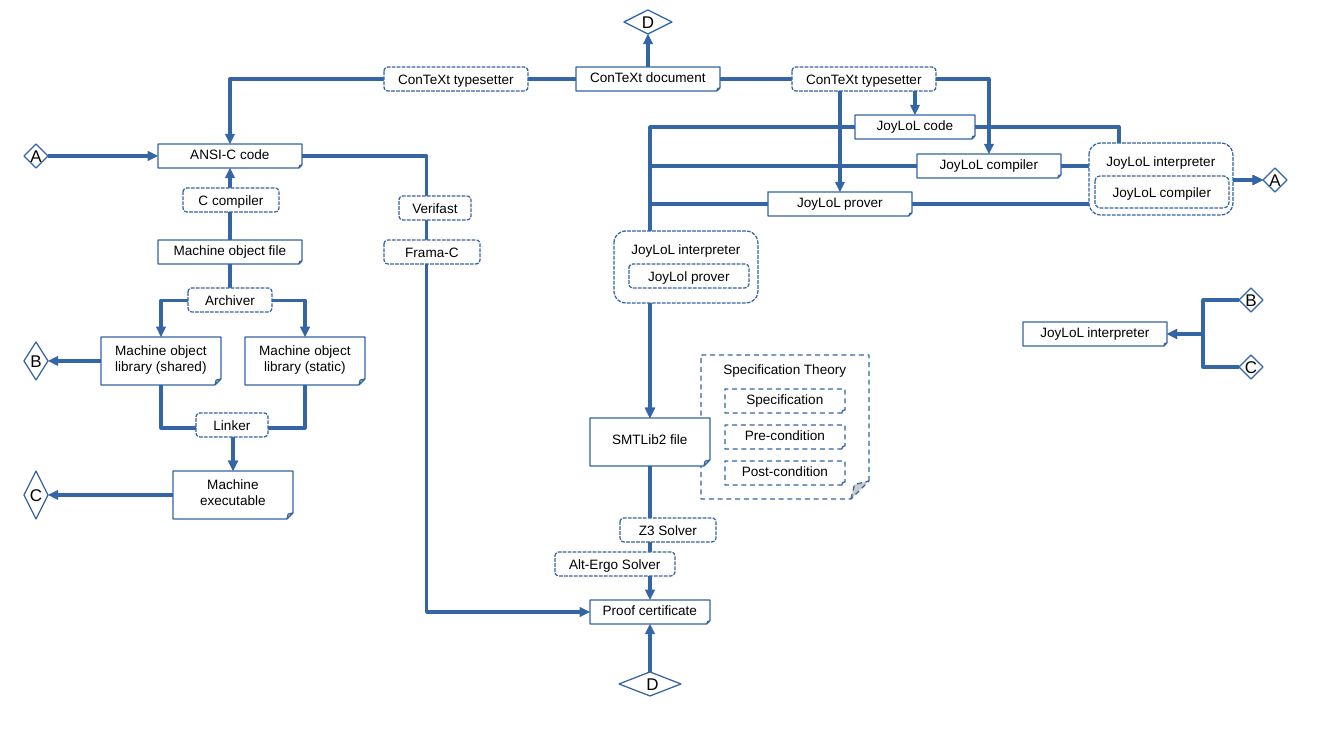
from lxml import etree
from pptx import Presentation
from pptx import util as u
from pptx.dml import color
from pptx.enum import dml, shapes, text
from pptx.oxml import ns

PX = 7495
COLORS = {"paper": "FFFFFF", "outline": "3465A4", "ink": "000000"}
FONT = "Arial"
TOP, LEFT, BOTTOM, RIGHT = range(4)
ROW = 24
FORM = shapes.MSO_SHAPE
DASH = dml.MSO_LINE
STYLES = {
    "file": (FORM.FOLDED_CORNER, None, 8, ("adj", 12500)),
    "theory": (FORM.FOLDED_CORNER, DASH.DASH, 8, ("adj", 12500)),
    "tool": (FORM.ROUNDED_RECTANGLE, DASH.SQUARE_DOT, 8, ("adj", 16667)),
    "mark": (FORM.DIAMOND, None, 10, None),
}


def rgb(name):
    return color.RGBColor.from_string(COLORS[name])


def adjust(part, name, value):
    geometry = part._element.spPr.find(ns.qn("a:prstGeom"))
    guides = geometry.find(ns.qn("a:avLst"))
    if guides is None:
        guides = etree.SubElement(geometry, ns.qn("a:avLst"))
    for guide in list(guides):
        guides.remove(guide)
    etree.SubElement(guides, ns.qn("a:gd"), name=name, fmla=f"val {value}")


def node(slide, box, style, label, x, y, width, height=ROW, anchor=text.MSO_ANCHOR.MIDDLE):
    form, dash, size, adjustment = STYLES[style]
    left, top = box
    part = slide.shapes.add_shape(
        form, *(PX * length for length in (left + x, top + y, width, height)))
    part.shadow.inherit = False
    if adjustment:
        adjust(part, *adjustment)
    part.fill.solid()
    part.fill.fore_color.rgb = rgb("paper")
    part.line.color.rgb = rgb("outline")
    part.line.width = 0
    if dash:
        part.line.dash_style = dash
    part.text_frame.word_wrap = True
    part.text_frame.vertical_anchor = anchor
    part.text_frame.text = label
    paragraph = part.text_frame.paragraphs[0]
    paragraph.alignment = text.PP_ALIGN.CENTER
    font = paragraph.runs[0].font
    font.name, font.size, font.color.rgb = FONT, u.Pt(size), rgb("ink")
    return part


def wire(slide, source, source_side, target, target_side, kind=None, bend=50000):
    route = shapes.MSO_CONNECTOR.ELBOW if kind else shapes.MSO_CONNECTOR.STRAIGHT
    arrow = slide.shapes.add_connector(route, 0, 0, 0, 0)
    arrow.begin_connect(source, source_side)
    arrow.end_connect(target, target_side)
    arrow.line.color.rgb = rgb("outline")
    arrow.line.width = 0
    properties = arrow._element.spPr
    outline = properties.find(ns.qn("a:ln"))
    etree.SubElement(outline, ns.qn("a:tailEnd"), type="triangle")
    etree.SubElement(properties, ns.qn("a:effectLst"))
    if kind == "corner":
        properties.find(ns.qn("a:prstGeom")).set("prst", "bentConnector2")
    elif kind:
        adjust(arrow, "adj1", bend)
    if kind == "drop":
        turn_downwards(arrow)


def turn_downwards(arrow):
    rightwards = arrow.end_x > arrow.begin_x
    middle_x = arrow.left + arrow.width // 2
    middle_y = arrow.top + arrow.height // 2
    arrow.width, arrow.height = arrow.height, arrow.width
    arrow.left = middle_x - arrow.width // 2
    arrow.top = middle_y - arrow.height // 2
    frame = arrow._element.spPr.find(ns.qn("a:xfrm"))
    frame.set("rot", str((270 if rightwards else 90) * 60000))
    frame.set("flipH", "1" if rightwards else "0")


def draw_c_toolchain(slide, box):
    mark_a = node(slide, box, "mark", "A", 0, 0, 24)
    mark_b = node(slide, box, "mark", "B", 0, 198, 24, 38)
    mark_c = node(slide, box, "mark", "C", 0, 327, 24, 48)
    ansi_code = node(slide, box, "file", "ANSI-C code", 134, 0, 144)
    object_file = node(slide, box, "file", "Machine object file", 134, 96, 144)
    shared, static = (
        node(slide, box, "file", f"Machine object library ({linkage})", x, 193, 120, 48)
        for linkage, x in (("shared", 77), ("static", 221)))
    executable = node(slide, box, "file", "Machine executable", 149, 327, 120, 48)

    wire(slide, mark_a, RIGHT, ansi_code, LEFT)
    wire(slide, object_file, TOP, ansi_code, BOTTOM)
    for library in (shared, static):
        wire(slide, object_file, BOTTOM, library, TOP, "drop")
        wire(slide, library, BOTTOM, executable, TOP, "drop")
    wire(slide, shared, LEFT, mark_b, RIGHT)
    wire(slide, executable, LEFT, mark_c, RIGHT)

    node(slide, box, "tool", "C compiler", 159, 44, 96)
    node(slide, box, "tool", "Archiver", 164, 144, 84)
    node(slide, box, "tool", "Linker", 172, 269, 72)
    return ansi_code


def draw_proof(slide, box, ansi_code):
    node(slide, box, "theory", "Specification Theory", 317, 159, 168, 144,
         text.MSO_ANCHOR.TOP)
    for row, label in enumerate(("Specification", "Pre-condition", "Post-condition")):
        node(slide, box, "theory", label, 341, 193 + 36 * row, 120)
    smt_file = node(slide, box, "file", "SMTLib2 file", 206, 222, 120, 48)
    certificate = node(slide, box, "file", "Proof certificate", 206, 404, 120)
    mark_d = node(slide, box, "mark", "D", 235, 476, 62)

    wire(slide, ansi_code, RIGHT, certificate, LEFT, "step", 43300)
    wire(slide, smt_file, BOTTOM, certificate, TOP)
    wire(slide, mark_d, TOP, certificate, BOTTOM)

    node(slide, box, "tool", "Verifast", 15, 0, 72)
    node(slide, box, "tool", "Frama-C", 0, 44, 96)
    node(slide, box, "tool", "Z3 Solver", 236, 322, 96)
    node(slide, box, "tool", "Alt-Ergo Solver", 171, 356, 120)
    return smt_file


def draw_joylol_sources(slide, box, smt_file):
    code = node(slide, box, "file", "JoyLoL code", 241, 0, 120)
    compiler = node(slide, box, "file", "JoyLoL compiler", 303, 39, 144)
    prover = node(slide, box, "file", "JoyLoL prover", 154, 77, 144)
    mark_a = node(slide, box, "mark", "A", 649, 53, 24)

    for source, bend in ((code, 50000), (compiler, 50000), (prover, 58200)):
        wire(slide, source, RIGHT, mark_a, LEFT, "step", bend)
        wire(slide, source, LEFT, smt_file, TOP, "corner")

    for x, y in ((0, 116), (475, 28)):
        node(slide, box, "tool", "JoyLoL interpreter", x, y, 144, 72, text.MSO_ANCHOR.TOP)
    node(slide, box, "tool", "JoyLol prover", 15, 149, 120)
    node(slide, box, "tool", "JoyLoL compiler", 481, 61, 134, 32)
    return code, compiler, prover


def draw_document(slide, box, ansi_code, joylol_sources):
    mark_d = node(slide, box, "mark", "D", 240, 0, 48)
    document = node(slide, box, "file", "ConTeXt document", 192, 57, 144)

    wire(slide, document, TOP, mark_d, BOTTOM)
    wire(slide, document, LEFT, ansi_code, TOP, "corner")
    for source in joylol_sources:
        wire(slide, document, RIGHT, source, TOP, "corner")

    for x in (0, 408):
        node(slide, box, "tool", "ConTeXt typesetter", x, 57, 144)


def draw_interpreter_build(slide, box):
    interpreter = node(slide, box, "file", "JoyLoL interpreter", 0, 34, 144)
    for label, y in (("B", 0), ("C", 67)):
        mark = node(slide, box, "mark", label, 216, y, 24)
        wire(slide, mark, LEFT, interpreter, RIGHT, "step")


def main():
    deck = Presentation()
    deck.slide_width, deck.slide_height = 1344 * PX, 756 * PX
    slide = deck.slides.add_slide(deck.slide_layouts[6])
    ansi_code = draw_c_toolchain(slide, (24, 144))
    smt_file = draw_proof(slide, (384, 196), ansi_code)
    joylol_sources = draw_joylol_sources(slide, (614, 115), smt_file)
    draw_document(slide, (384, 10), ansi_code, joylol_sources)
    draw_interpreter_build(slide, (1023, 288))
    deck.save("out.pptx")


if __name__ == "__main__":
    main()
